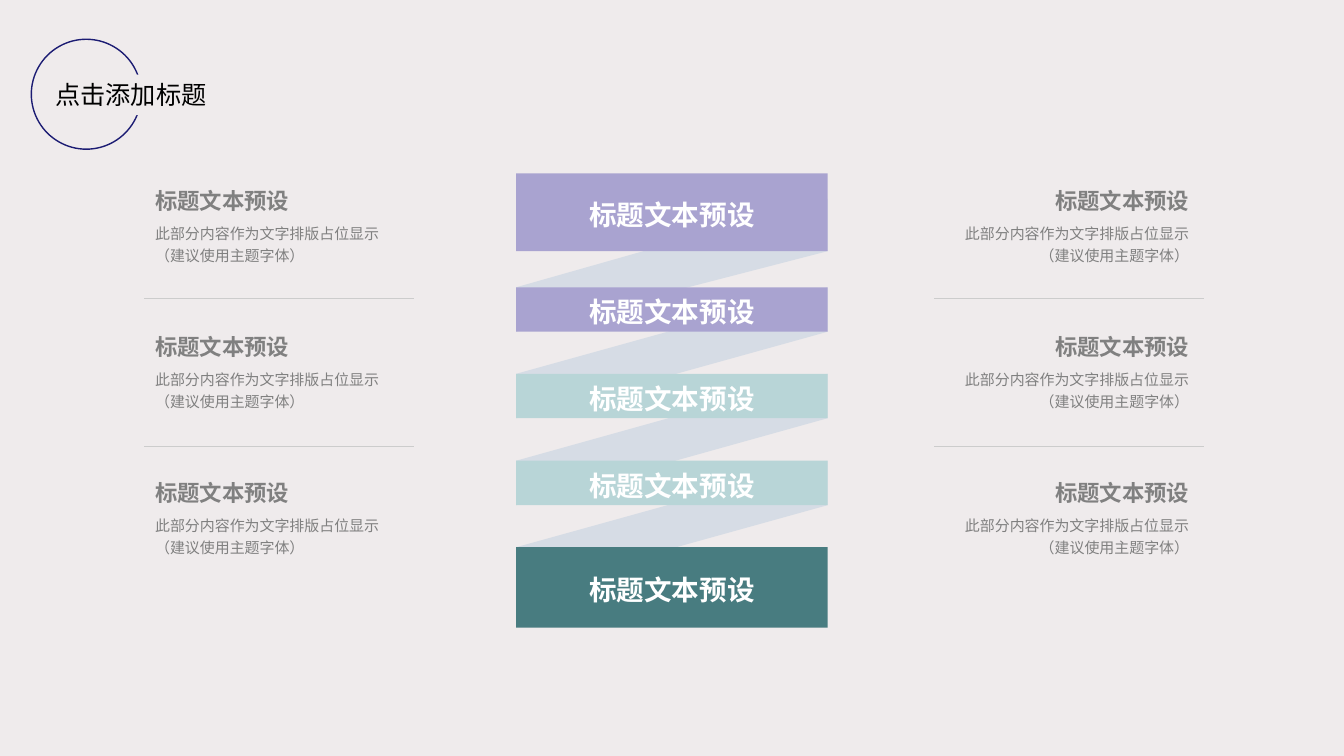
from dataclasses import dataclass

from lxml import etree
from pptx import Presentation
from pptx.dml.color import RGBColor
from pptx.enum import shapes, text
from pptx.oxml.ns import qn
from pptx.util import Cm, Pt


@dataclass(frozen=True)
class Theme:
    font: str = "Noto Sans CJK SC"
    background: str = "EFEBEC"
    ring: str = "1C1C73"
    title: str = "000000"
    lilac: str = "A9A3D0"
    aqua: str = "B8D5D7"
    teal: str = "487C80"
    ribbon: str = "D6DCE5"
    label: str = "FFFFFF"
    note: str = "808080"
    divider: str = "CCCCCC"
    title_size: float = 18
    label_size: float = 19.7
    heading_size: float = 16
    note_size: float = 10.7


THEME = Theme()

# Content
TITLE = "点击添加标题"
HEADING = "标题文本预设"
NOTE = ("此部分内容作为文字排版占位显示", "（建议使用主题字体）")
NOTES = [(HEADING, NOTE)] * 3

# Bands: label, top, height, colour (cm)
BANDS = [
    (HEADING, 4.37, 1.96, THEME.lilac),
    (HEADING, 7.24, 1.12, THEME.lilac),
    (HEADING, 9.42, 1.12, THEME.aqua),
    (HEADING, 11.61, 1.12, THEME.aqua),
    (HEADING, 13.79, 2.03, THEME.teal),
]
BAND_LEFT, BAND_WIDTH = 13.01, 7.85
LABEL_WIDTH, LABEL_HEIGHT = 4.4, 0.98
RIBBON_END = 1.12
RIBBON_STARTS = (1.32, 1.12, 1.12, 1.12)

# Note columns: text left, divider left, alignment (cm)
COLUMNS = [
    (22.71, 23.55, text.PP_ALIGN.RIGHT),
    (3.91, 3.63, text.PP_ALIGN.LEFT),
]
NOTE_WIDTH, NOTE_TOP, NOTE_STEP = 7.26, 4.72, 3.68
HEADING_HEIGHT, NOTE_HEIGHT = 0.85, 1.42
DIVIDER_WIDTH, DIVIDER_TOP, DIVIDER_STEP = 6.8, 7.52, 3.73


def rgb(colour):
    return RGBColor.from_string(colour)


def box(left, top, width, height):
    return Cm(left), Cm(top), Cm(width), Cm(height)


def paint(shape, colour):
    shape.shadow.inherit = False
    shape.fill.solid()
    shape.fill.fore_color.rgb = rgb(colour)
    shape.line.fill.background()


def write(frame, lines, size, colour, align, bold=False):
    frame.vertical_anchor = text.MSO_ANCHOR.TOP
    paragraph = frame.paragraphs[0]
    paragraph.alignment = align
    for number, line in enumerate(lines):
        if number:
            paragraph.add_line_break()
        run = paragraph.add_run()
        run.text = line
        run.font.size, run.font.bold = Pt(size), bold
        run.font.color.rgb = rgb(colour)
        run.font.name = THEME.font
        # East Asian typeface
        etree.SubElement(run.font._element, qn("a:ea"), typeface=THEME.font)
    return paragraph


def add_title(slide):
    ring = slide.shapes.add_shape(shapes.MSO_SHAPE.OVAL, *box(0.79, 0.99, 2.77, 2.77))
    ring.shadow.inherit = False
    ring.fill.background()
    ring.line.color.rgb, ring.line.width = rgb(THEME.ring), Pt(1)

    title = slide.shapes.title
    title.left, title.top, title.width, title.height = box(1.14, 1.88, 4.37, 1.02)
    title.fill.solid()
    title.fill.fore_color.rgb = rgb(THEME.background)
    title.text_frame.word_wrap = False
    title.text_frame.auto_size = text.MSO_AUTO_SIZE.NONE
    write(title.text_frame, [TITLE], THEME.title_size, THEME.title, text.PP_ALIGN.LEFT)
    title.element.addprevious(ring.element)  # the title hides part of the ring


def add_ribbons(slide):
    left, right = BAND_LEFT, BAND_LEFT + BAND_WIDTH
    for start, upper, lower in zip(RIBBON_STARTS, BANDS, BANDS[1:]):
        fold = upper[1] + upper[2]
        corners = [(right, fold - start), (left, lower[1]),
                   (left, lower[1] + RIBBON_END), (right, fold)]
        points = [(Cm(x), Cm(y)) for x, y in corners]
        outline = slide.shapes.build_freeform(*points[0])
        outline.add_line_segments(points[1:], close=True)
        paint(outline.convert_to_shape(), THEME.ribbon)


def add_bands(slide):
    label_left = BAND_LEFT + (BAND_WIDTH - LABEL_WIDTH) / 2
    for words, top, height, colour in BANDS:
        group = slide.shapes.add_group_shape().shapes
        band = group.add_shape(shapes.MSO_SHAPE.RECTANGLE,
                               *box(BAND_LEFT, top, BAND_WIDTH, height))
        paint(band, colour)
        label_top = top + (height - LABEL_HEIGHT) / 2
        label = group.add_textbox(*box(label_left, label_top, LABEL_WIDTH, LABEL_HEIGHT))
        frame = label.text_frame
        frame.word_wrap = False
        frame.margin_left = frame.margin_right = 0  # the whole width holds the label
        write(frame, [words], THEME.label_size, THEME.label,
              text.PP_ALIGN.CENTER, bold=True)


def add_note_text(group, place, *style, **options):
    frame = group.add_textbox(*place).text_frame
    frame.word_wrap = True
    frame.margin_left = frame.margin_right = frame.margin_top = frame.margin_bottom = 0
    return write(frame, *style, **options)


def add_notes(slide, left, divider_left, align):
    group = slide.shapes.add_group_shape().shapes
    for row, (heading, note) in enumerate(NOTES):
        top = NOTE_TOP + row * NOTE_STEP
        add_note_text(group, box(left, top, NOTE_WIDTH, HEADING_HEIGHT), [heading],
                      THEME.heading_size, THEME.note, align, bold=True)
        body = add_note_text(group, box(left, top + HEADING_HEIGHT, NOTE_WIDTH, NOTE_HEIGHT),
                             note, THEME.note_size, THEME.note, align)
        body.line_spacing = 1.2
    # Dividers between the notes
    for gap in range(len(NOTES) - 1):
        y = Cm(DIVIDER_TOP + gap * DIVIDER_STEP)
        divider = group.add_connector(shapes.MSO_CONNECTOR.STRAIGHT, Cm(divider_left), y,
                                      Cm(divider_left + DIVIDER_WIDTH), y)
        divider.line.color.rgb, divider.line.width = rgb(THEME.divider), Pt(0.5)
        etree.SubElement(divider.element.spPr, qn("a:effectLst"))


def main():
    deck = Presentation()
    deck.slide_width, deck.slide_height = Cm(33.87), Cm(19.05)
    slide = deck.slides.add_slide(deck.slide_layouts[5])
    slide.background.fill.solid()
    slide.background.fill.fore_color.rgb = rgb(THEME.background)

    add_title(slide)
    add_ribbons(slide)
    add_bands(slide)
    for column in COLUMNS:
        add_notes(slide, *column)
    deck.save("out.pptx")


if __name__ == "__main__":
    main()
